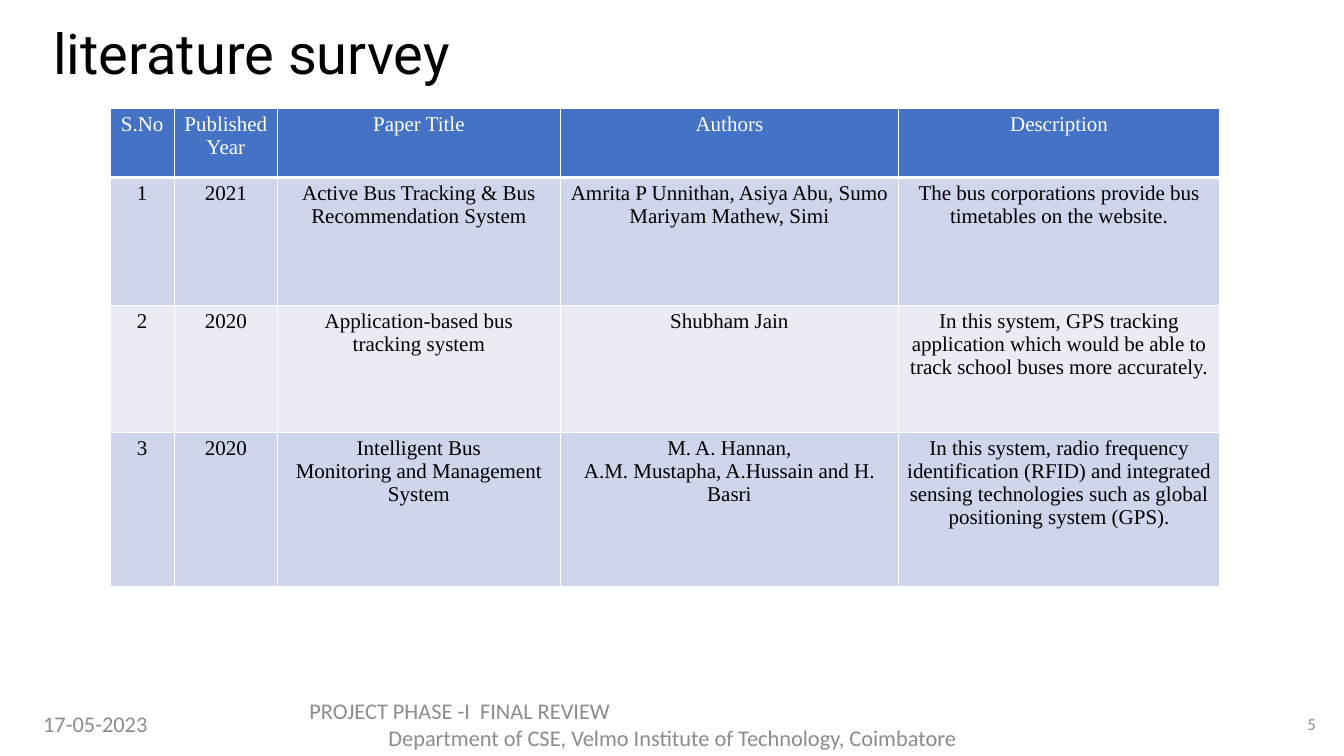
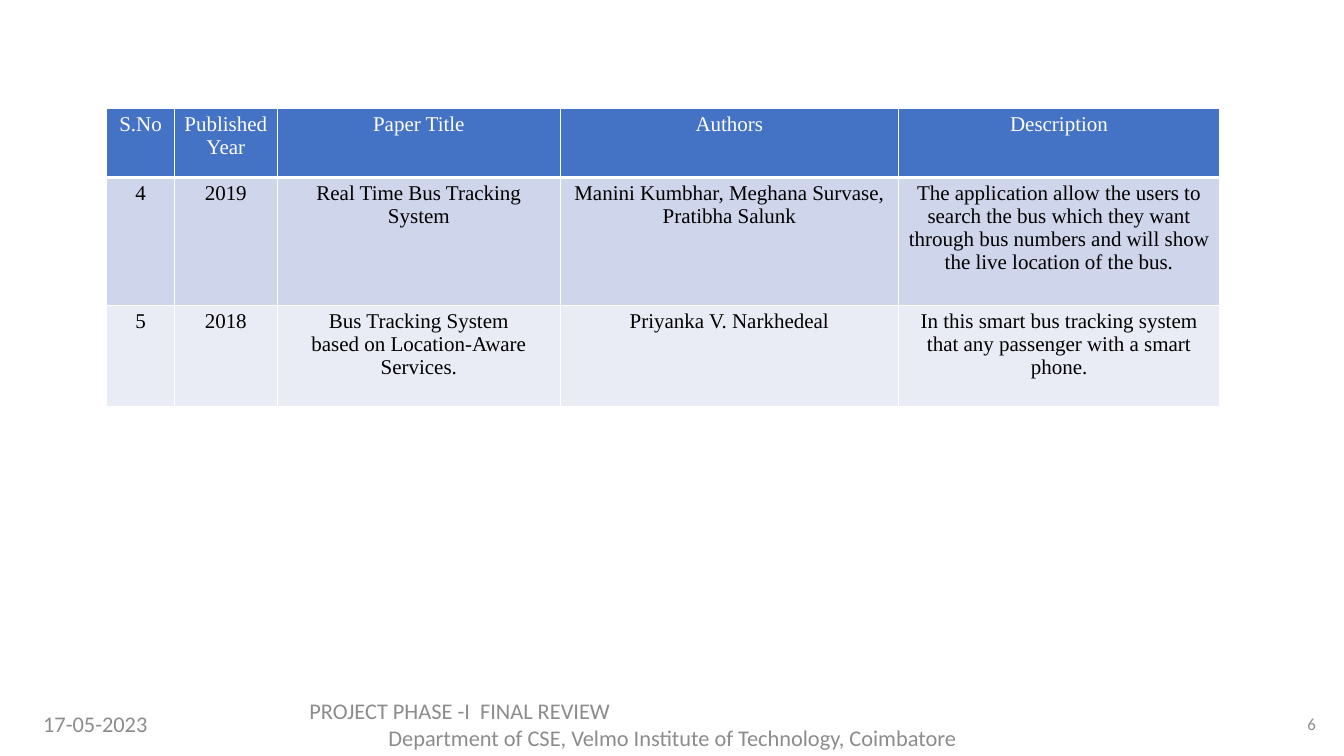
from lxml.etree import SubElement
from pptx import Presentation
from pptx.dml.color import RGBColor
from pptx.enum.text import MSO_ANCHOR, MSO_AUTO_SIZE, PP_ALIGN
from pptx.oxml.ns import qn
from pptx.util import Inches, Pt

WHITE, BLACK, GREY = "FFFFFF", "000000", "8C8C8C"
HEAD, BANDS = "4472C4", ("CFD5EA", "E9EBF5")
LEFT, MID, RIGHT = PP_ALIGN.LEFT, PP_ALIGN.CENTER, PP_ALIGN.RIGHT
EDGE, TOP = 12.1, 1.08
WIDTHS = (1.02, 2.81, 3.35, 3.19)
LABELS = ("S.No", "Published\nYear", "Paper Title", "Authors", "Description")
DATE = "17-05-2023"
FOOT = "PROJECT PHASE -I  FINAL REVIEW\nDepartment of CSE, Velmo Institute of Technology, Coimbatore"

FIRST = (
    ("1", "2021", "Active Bus Tracking & Bus Recommendation System",
     "Amrita P Unnithan, Asiya Abu, Sumo Mariyam Mathew, Simi",
     "The bus corporations provide bus timetables on the website."),
    ("2", "2020", "Application-based bus\ntracking system", "Shubham Jain",
     "In this system, GPS tracking application which would be able to "
     "track school buses more accurately."),
    ("3", "2020", "Intelligent Bus\nMonitoring and Management System",
     "M. A. Hannan,\nA.M. Mustapha, A.Hussain and H. Basri",
     "In this system, radio frequency identification (RFID) and integrated "
     "sensing technologies such as global positioning system (GPS)."),
)
SECOND = (
    ("4", "2019", "Real Time Bus Tracking System",
     "Manini Kumbhar, Meghana Survase, Pratibha Salunk",
     "The application allow the users to search the bus which they want "
     "through bus numbers and will show the live location of the bus."),
    ("5", "2018", "Bus Tracking System\nbased on Location-Aware Services.",
     "Priyanka V. Narkhedeal",
     "In this smart bus tracking system that any passenger with a smart phone."),
)


def paint(code):
    """Turn a hex string into a colour."""
    return RGBColor.from_string(code)


def style(frame, font, size, color, *aligns):
    """Format all runs and align paragraphs, the last alignment repeating."""
    for i, para in enumerate(frame.paragraphs):
        para.alignment = aligns[min(i, len(aligns) - 1)]
        for run in para.runs:
            run.font.name = font
            run.font.size = Pt(size)
            run.font.color.rgb = paint(color)


def add_note(slide, box, text, size, *aligns):
    """Place one grey footer text in its box."""
    frame = slide.shapes.add_textbox(*map(Inches, box)).text_frame
    frame.word_wrap = True
    frame.vertical_anchor = MSO_ANCHOR.MIDDLE
    frame.text = text
    style(frame, "Calibri", size, GREY, *aligns)


def add_footer(slide, number, top=6.98, high=0.4):
    """Place the date, the review line and the page number."""
    add_note(slide, (0.33, top, 1.45, high), DATE, 16, LEFT)
    add_note(slide, (2.97, top, 7.4, high), FOOT, 16, LEFT, MID)
    add_note(slide, (12.54, top, 0.61, high), str(number), 12, RIGHT)


def add_title(slide, text):
    """Move and format the title placeholder."""
    title = slide.shapes.title
    title.left, title.top = Inches(0.15), Inches(0.1)
    title.width, title.height = Inches(11.5), Inches(0.92)
    frame = title.text_frame
    frame.text = text
    frame.auto_size = MSO_AUTO_SIZE.NONE
    frame.vertical_anchor = MSO_ANCHOR.MIDDLE
    frame.margin_left = Inches(0.38)
    frame.paragraphs[0].line_spacing = 0.9
    style(frame, "Roboto", 40, BLACK, LEFT)


def add_edges(cell, above, below):
    """Draw white cell borders with the given top and bottom widths."""
    props = cell._tc.get_or_add_tcPr()
    for side, width in (("L", 1), ("R", 1), ("T", above), ("B", below)):
        line = SubElement(props, qn(f"a:ln{side}"), w=str(Pt(width)))
        fill = SubElement(line, qn("a:solidFill"))
        SubElement(fill, qn("a:srgbClr"), val=WHITE)


def fill_cell(cell, row, text):
    """Write and format one cell according to its row."""
    cell.margin_left = cell.margin_right = Inches(0.08)
    cell.margin_top = cell.margin_bottom = Inches(0.04)
    add_edges(cell, 3 if row == 1 else 1, 3 if row == 0 else 1)
    cell.fill.solid()
    cell.fill.fore_color.rgb = paint(BANDS[(row - 1) % 2] if row else HEAD)
    cell.text_frame.text = text
    style(cell.text_frame, "Times New Roman", 15, BLACK if row else WHITE, MID)


def add_papers(slide, papers, first, heights):
    """Place the table of papers, its right side on the shared edge."""
    widths = (first, *WIDTHS)
    wide = sum(widths)
    box = (EDGE - wide, TOP, wide, sum(heights))
    table = slide.shapes.add_table(
        len(heights), len(widths), *map(Inches, box)).table
    for col, width in zip(table.columns, widths):
        col.width = Inches(width)
    for row, texts in enumerate((LABELS, *papers)):
        table.rows[row].height = Inches(heights[row])
        for col, text in enumerate(texts):
            fill_cell(table.cell(row, col), row, text)


def add_survey(deck, number, papers, first, heights, title=None):
    """Build one survey slide, with or without a title."""
    slide = deck.slides.add_slide(deck.slide_layouts[5 if title else 6])
    if title:
        add_title(slide, title)
    add_footer(slide, number)
    add_papers(slide, papers, first, heights)


def main():
    """Build and save the deck."""
    deck = Presentation()
    deck.slide_width, deck.slide_height = Inches(13.33), Inches(7.5)
    add_survey(deck, 5, FIRST, 0.64, (0.68, 1.27, 1.26, 1.53),
               "literature survey")
    add_survey(deck, 6, SECOND, 0.67, (0.68, 1.27, 1))
    deck.save("out.pptx")


if __name__ == "__main__":
    main()
